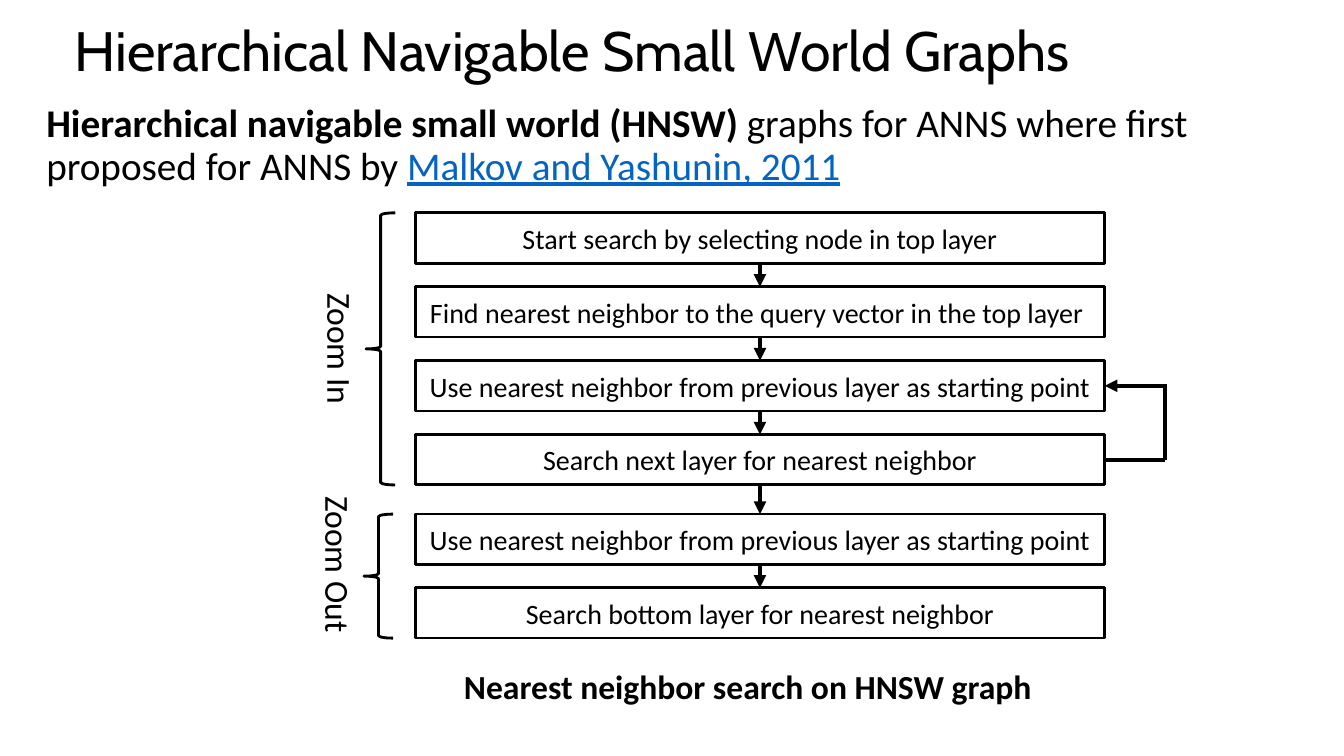
import pptx
import pptx.dml.color
import pptx.enum.shapes
import pptx.enum.text
import pptx.oxml.ns
import pptx.util
from lxml import etree

Pt = pptx.util.Pt
SHAPES = pptx.enum.shapes.MSO_SHAPE
ALIGN = pptx.enum.text.PP_ALIGN
ANCHOR = pptx.enum.text.MSO_ANCHOR
qn = pptx.oxml.ns.qn

COLORS = {"ink": "000000", "link": "0563C1"}
BOX_LEFT, BOX_WIDTH, BOX_HEIGHT = 296.6, 492.5, 36
LOOP_X = 832.3
BOTTOM, RIGHT, TOP = 2, 3, 0

# Each phase: label, label centre (x, y), brace left, first box top, pitch, steps
PHASES = [
    ("Zoom In", (243.4, 249.1), 261.4, 152, 52.8, [
        "Start search by selecting node in top layer",
        "Find nearest neighbor to the query vector in the top layer ",
        "Use nearest neighbor from previous layer as starting point",
        "Search next layer for nearest neighbor",
    ]),
    ("Zoom Out", (241.9, 403.2), 259.9, 367.2, 52.6, [
        "Use nearest neighbor from previous layer as starting point",
        "Search bottom layer for nearest neighbor",
    ]),
]


def color(name):
    return pptx.dml.color.RGBColor.from_string(COLORS[name])


def format_run(run, size, font="Calibri", bold=False, ink="ink", underline=False):
    run.font.name = font
    run.font.size = Pt(size)
    run.font.bold = bold
    run.font.underline = underline
    run.font.color.rgb = color(ink)


def add_text(slide, left, top, width, height, parts, align=ALIGN.LEFT,
             anchor=ANCHOR.TOP, line_spacing=1.0):
    """Add one paragraph made of (text, format) parts."""
    box = slide.shapes.add_textbox(Pt(left), Pt(top), Pt(width), Pt(height))
    frame = box.text_frame
    frame.word_wrap = True
    frame.vertical_anchor = anchor
    paragraph = frame.paragraphs[0]
    paragraph.alignment = align
    paragraph.line_spacing = line_spacing
    for text, style in parts:
        run = paragraph.add_run()
        run.text = text
        format_run(run, **style)
    return box


def add_outline(slide, preset, left, top, width, height):
    shape = slide.shapes.add_shape(preset, Pt(left), Pt(top), Pt(width), Pt(height))
    shape.shadow.inherit = False
    shape.fill.background()
    shape.line.color.rgb = color("ink")
    shape.line.width = Pt(2)
    return shape


def add_step(slide, top, text):
    step = add_outline(slide, SHAPES.RECTANGLE, BOX_LEFT, top, BOX_WIDTH, BOX_HEIGHT)
    frame = step.text_frame
    frame.word_wrap = True
    frame.vertical_anchor = ANCHOR.MIDDLE
    frame.text = text
    frame.paragraphs[0].alignment = ALIGN.CENTER
    format_run(frame.paragraphs[0].runs[0], 20)
    return step


def add_line(slide, start=(0, 0), end=(0, 0), begin_at=None, end_at=None, arrow=False):
    """Draw a line between points, or joined to (shape, side) pairs."""
    line = slide.shapes.add_connector(
        pptx.enum.shapes.MSO_CONNECTOR.STRAIGHT, *(Pt(v) for v in (*start, *end)))
    if begin_at:
        line.begin_connect(*begin_at)
    if end_at:
        line.end_connect(*end_at)
    line.line.color.rgb = color("ink")
    line.line.width = Pt(3)
    if arrow:
        etree.SubElement(line.line._get_or_add_ln(), qn("a:tailEnd"), type="triangle")
    etree.SubElement(line._element.spPr, qn("a:effectLst"))


def add_phase(slide, label, center, brace_left, first_top, pitch, texts):
    steps = [add_step(slide, first_top + i * pitch, text) for i, text in enumerate(texts)]
    span = (len(texts) - 1) * pitch + BOX_HEIGHT
    brace = add_outline(slide, SHAPES.RIGHT_BRACE, brace_left, first_top, 20.9, span)
    brace.rotation = 180
    x, y = center
    name = add_text(slide, x - 68.4, y - 18, 136.8, 36,
                    [(label, {"size": 24})], ALIGN.CENTER)
    name.rotation = 90
    return steps


def main():
    deck = pptx.Presentation()
    deck.slide_width, deck.slide_height = Pt(960), Pt(540)
    slide = deck.slides.add_slide(deck.slide_layouts[6])

    # Title and introduction
    add_text(slide, 46.1, 17.3, 828, 41.8,
             [("Hierarchical Navigable Small World Graphs", {"size": 39.6, "font": "Cabin"})],
             anchor=ANCHOR.MIDDLE, line_spacing=0.9)
    add_text(slide, 26, 70.6, 887.8, 77, [
        ("Hierarchical navigable small world (HNSW)", {"size": 28, "bold": True}),
        (" graphs for ANNS where first proposed for ANNS by ", {"size": 28}),
        ("Malkov and Yashunin, 2011", {"size": 28, "ink": "link", "underline": True}),
    ], line_spacing=0.9)

    # Search steps with braces, joined in order
    steps = [step for phase in PHASES for step in add_phase(slide, *phase)]
    for upper, lower in zip(steps, steps[1:]):
        add_line(slide, begin_at=(upper, BOTTOM), end_at=(lower, TOP), arrow=True)

    # Loop from the layer search back to its starting point
    restart, search = steps[2:4]
    restart_y, search_y = ((s.top + s.height // 2) / Pt(1) for s in (restart, search))
    add_line(slide, start=(LOOP_X + 1.5, restart_y), end_at=(restart, RIGHT), arrow=True)
    add_line(slide, end=(LOOP_X, search_y), begin_at=(search, RIGHT))
    add_line(slide, start=(LOOP_X, restart_y), end=(LOOP_X, search_y))

    # Caption
    add_text(slide, BOX_LEFT, 472.3, 475.2, 36,
             [("Nearest neighbor search on HNSW graph", {"size": 24, "bold": True})],
             ALIGN.CENTER)

    deck.save("out.pptx")


if __name__ == "__main__":
    main()
